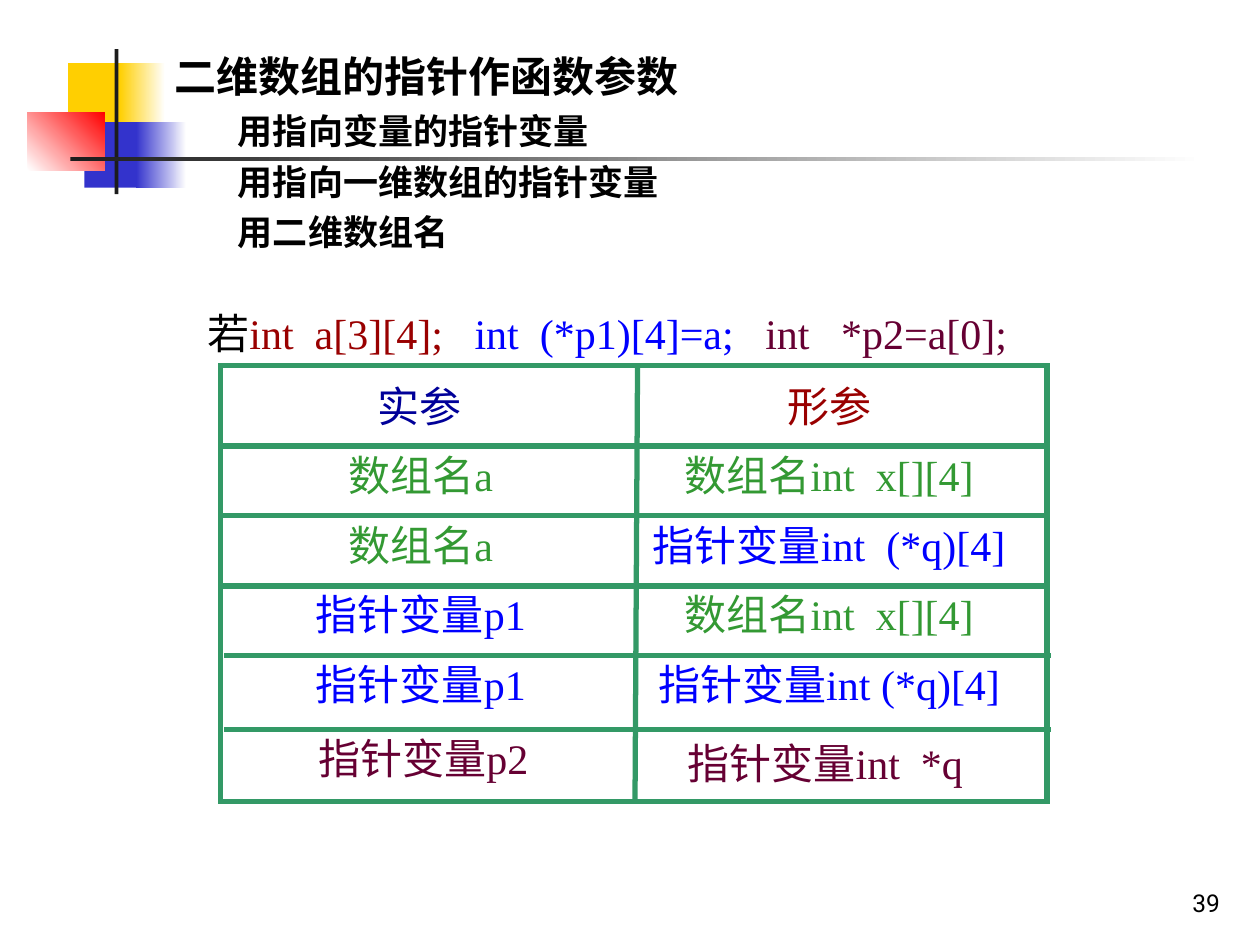
from pptx import Presentation
from pptx.dml.color import RGBColor
from pptx.enum.shapes import MSO_CONNECTOR, MSO_SHAPE
from pptx.enum.text import MSO_ANCHOR, PP_ALIGN
from pptx.oxml.ns import qn
from pptx.util import Inches, Pt
from lxml.etree import SubElement


def color(value):
    return RGBColor.from_string(value)


def add_text(left, top, width, height, runs, size, font, align, anchor):
    box = page.shapes.add_textbox(Inches(left), Inches(top), Inches(width), Inches(height))
    frame = box.text_frame
    frame.vertical_anchor = anchor
    para = frame.paragraphs[0]
    para.alignment = align
    for text, fill in runs:
        span = para.add_run()
        span.text = text
        span.font.size = Pt(size)
        span.font.name = font
        span.font.color.rgb = color(fill)
    return frame


deck = Presentation()
deck.slide_width = Inches(10)
deck.slide_height = Inches(7.5)
page = deck.slides.add_slide(deck.slide_layouts[6])

ornaments = [
    (0.54, 0.5, 0.48, 0.52, ["FFCF01"], 0),
    (0.95, 0.5, 0.36, 0.52, ["FFCF01", "FFFFFF"], 0),
    (0.67, 0.97, 0.46, 0.52, ["3333CC"], 0),
    (1.08, 0.97, 0.4, 0.52, ["3333CC", "FFFFFF"], 0),
    (0.22, 0.89, 0.61, 0.46, ["FFFFFF", "FF0000"], 45),
    (0.91, 0.39, 0.03, 1.15, ["1C1C1C"], 0),
    (0.56, 1.25, 9, 0.03, ["1C1C1C", "FFFFFF"], 0),
]
for left, top, width, height, fills, angle in ornaments:
    ornament = page.shapes.add_shape(
        MSO_SHAPE.RECTANGLE, Inches(left), Inches(top), Inches(width), Inches(height))
    ornament.shadow.inherit = False
    ornament.line.fill.background()
    if len(fills) == 1:
        ornament.fill.solid()
        ornament.fill.fore_color.rgb = color(fills[0])
    else:
        ornament.fill.gradient()
        ornament.fill.gradient_angle = angle
        for stop, fill in zip(ornament.fill.gradient_stops, fills):
            stop.color.rgb = color(fill)

outline = page.shapes.add_textbox(Inches(0.29), Inches(0.35), Inches(9.71), Inches(2.09))
outline.text_frame.word_wrap = True
outline.text_frame.text = "二维数组的指针作函数参数\n用指向变量的指针变量\n用指向一维数组的指针变量\n用二维数组名"
for index, para in enumerate(outline.text_frame.paragraphs):
    para.level = 2 if index else 1
    properties = para._p.get_or_add_pPr()
    properties.set("marL", str(Inches(1.75 if index else 1.25)))
    properties.set("indent", str(Inches(-0.25)))
    para.space_before = Pt(5 if index else 0)
    span = para.runs[0]
    span.font.size = Pt(20 if index else 24)
    span.font.name = "Roboto"
    span.font.bold = True
    span.font.color.rgb = color("000000")

border = page.shapes.add_shape(
    MSO_SHAPE.RECTANGLE, Inches(1.75), Inches(2.9), Inches(6.56), Inches(3.46))
border.shadow.inherit = False
border.fill.solid()
border.fill.fore_color.rgb = color("FFFFFF")
border.line.color.rgb = color("339966")
border.line.width = Pt(3)
SubElement(border.line._get_or_add_ln(), qn("a:miter")).set("lim", "800000")

rules = [(5.06, 2.9, 5.04, 6.35)]
for left, top in [(1.75, 3.54), (1.75, 4.09), (1.75, 4.65), (1.78, 5.2), (1.78, 5.79)]:
    rules.append((left, top, left + 6.56, top))
for points in rules:
    rule = page.shapes.add_connector(MSO_CONNECTOR.STRAIGHT, *[Inches(point) for point in points])
    rule.line.color.rgb = color("339966")
    rule.line.width = Pt(3)
    SubElement(rule._element.spPr, qn("a:effectLst"))

declaration = [
    ("若", "000000"),
    ("int  a[3][4];   ", "990000"),
    ("int  (*p1)[4]=a;   ", "0000FF"),
    ("int   *p2=a[0];", "660033"),
]
labels = [(4.82, 2.39, 6.7, declaration)]
cells = [
    (3.33, 2.97, 0.95, "实参", "000099"),
    (6.58, 2.97, 0.95, "形参", "990000"),
    (3.34, 3.52, 1.5, "数组名a", "339933"),
    (6.58, 3.52, 2.65, "数组名int  x[][4]", "339933"),
    (3.34, 4.07, 1.5, "数组名a", "339933"),
    (6.58, 4.07, 3.15, "指针变量int  (*q)[4]", "0000FF"),
    (3.34, 4.62, 2, "指针变量p1", "0000FF"),
    (6.58, 4.62, 2.65, "数组名int  x[][4]", "339933"),
    (3.34, 5.18, 2, "指针变量p1", "0000FF"),
    (6.58, 5.18, 3.05, "指针变量int (*q)[4]", "0000FF"),
    (3.36, 5.76, 2, "指针变量p2", "660033"),
    (6.55, 5.8, 2.55, "指针变量int  *q", "660033"),
]
for center, top, width, text, fill in cells:
    labels.append((center, top, width, [(text, fill)]))
for center, top, width, runs in labels:
    frame = add_text(center - width / 2, top, width, 0.5, runs, 24,
                     "Times New Roman", PP_ALIGN.CENTER, MSO_ANCHOR.MIDDLE)
    frame.word_wrap = False

number = add_text(7.7, 6.83, 2.08, 0.5, [("39", "000000")], 14,
                  "Roboto", PP_ALIGN.RIGHT, MSO_ANCHOR.BOTTOM)
number.word_wrap = True

deck.save("out.pptx")
